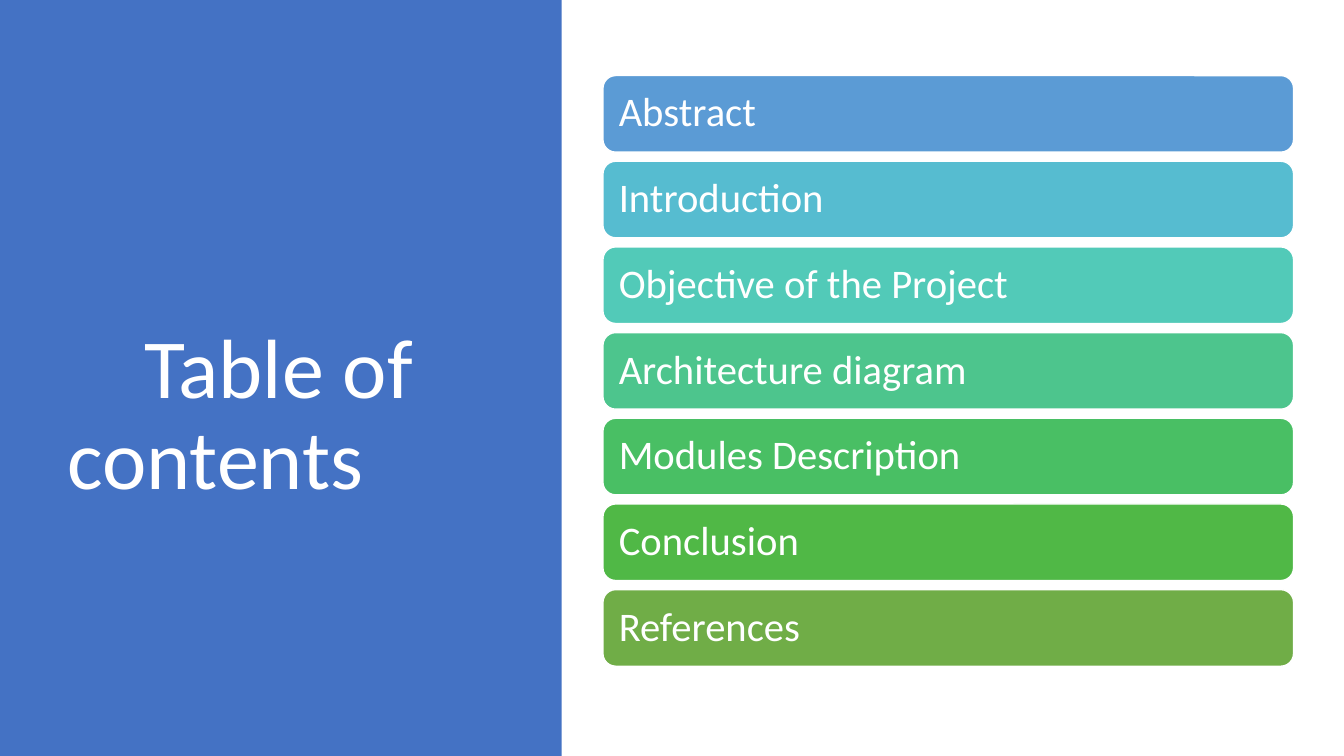
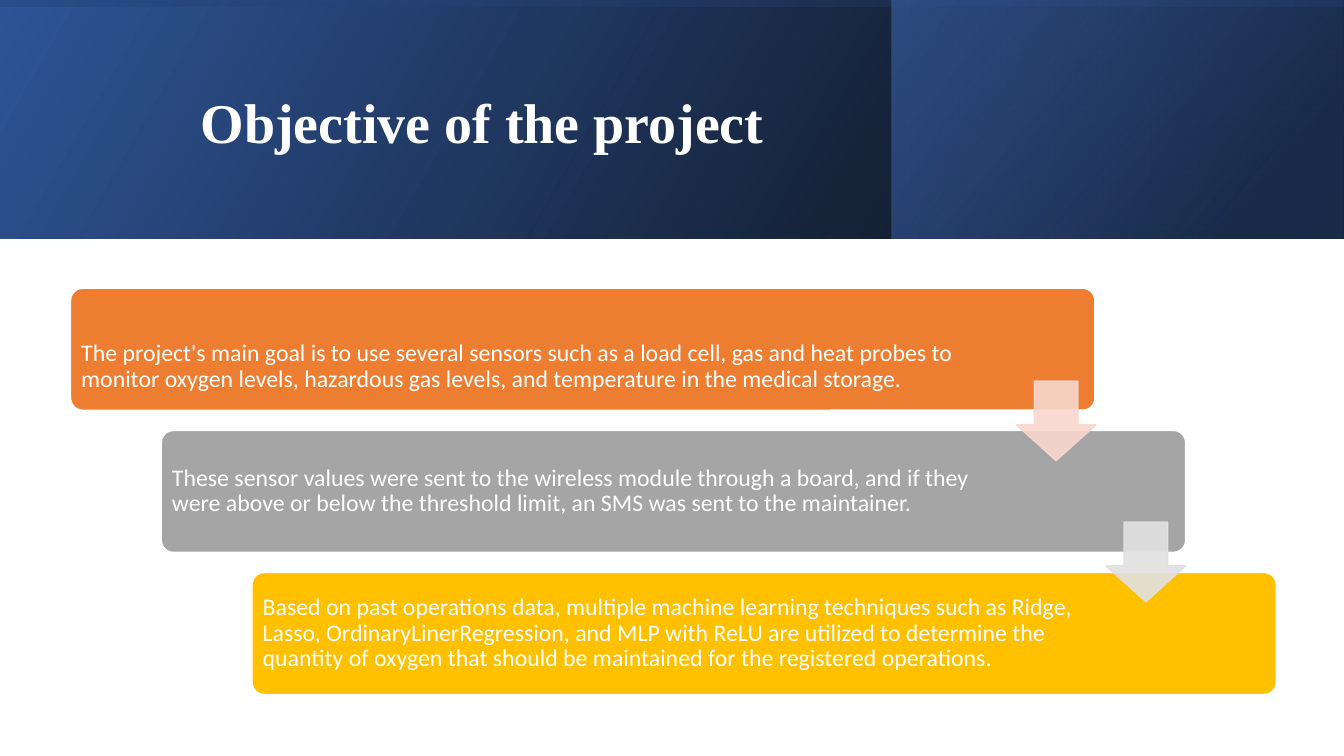
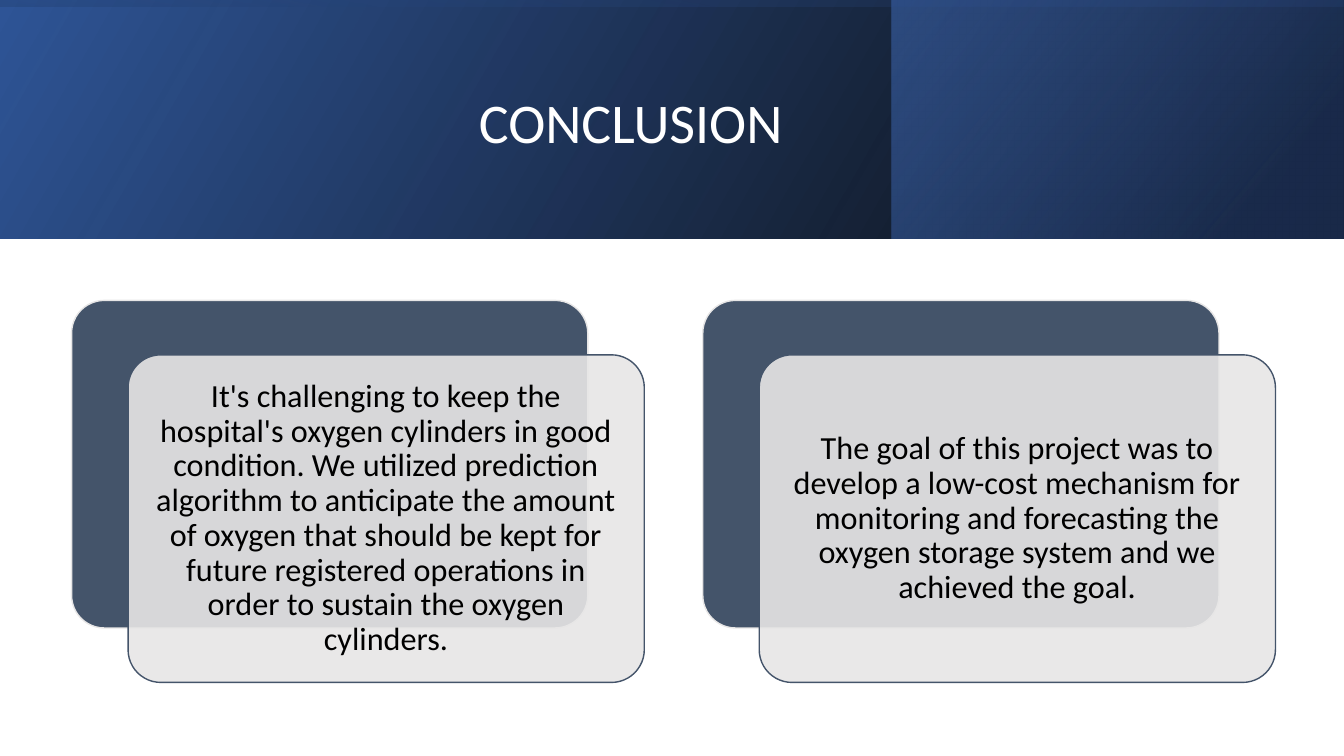
"""Build three slides: table of contents, project objective and conclusion."""
from dataclasses import dataclass

from lxml.etree import SubElement
from pptx import Presentation
from pptx.dml.color import RGBColor
from pptx.enum.shapes import MSO_SHAPE
from pptx.enum.text import MSO_ANCHOR, MSO_AUTO_SIZE, PP_ALIGN
from pptx.oxml import parse_xml
from pptx.oxml.ns import nsdecls, qn
from pptx.util import Inches, Pt


@dataclass(frozen=True)
class Theme:
    font: str = "Calibri"
    serif: str = "Times New Roman"
    white: str = "FFFFFF"
    black: str = "000000"
    blue: str = "4472C4"
    deep_blue: str = "2F5597"
    navy: str = "203864"
    slate: str = "44546A"
    pale: str = "E7E6E6"
    contents_fills: tuple = ("5B9BD5", "56BCD0", "52CAB8", "4DC58D", "49BF64", "50B846", "70AD47")
    step_fills: tuple = ("ED7D31", "A5A5A5", "FFC000")
    arrow_fills: tuple = ("F8D7CE", "E1E1E1")
    cover_size: int = 60
    title_size: int = 40
    contents_size: int = 29
    panel_size: int = 23
    step_size: int = 17


theme = Theme()


def add_text(shape, text, size, color=theme.white, font=theme.font, bold=False,
             align=PP_ALIGN.LEFT, margins=(0.1, 0.05, 0.1, 0.05), indent=0):
    frame = shape.text_frame
    frame.word_wrap = True
    frame.auto_size = MSO_AUTO_SIZE.NONE
    frame.vertical_anchor = MSO_ANCHOR.MIDDLE
    frame.margin_left, frame.margin_top, frame.margin_right, frame.margin_bottom = map(Inches, margins)
    paragraph = frame.paragraphs[0]
    paragraph.text = text
    paragraph.alignment = align
    paragraph.line_spacing = 0.9
    paragraph.space_before = Pt(0)
    if indent:
        properties = paragraph._p.get_or_add_pPr()
        properties.set("marL", "0")
        properties.set("indent", str(Inches(indent)))
    paragraph.font.name = font
    paragraph.font.size = Pt(size)
    paragraph.font.bold = bold
    paragraph.font.color.rgb = RGBColor.from_string(color)


def add_box(slide, kind, left, top, width, height, fill, line=None,
            fill_opacity=100, line_opacity=100, adjustments=()):
    shape = slide.shapes.add_shape(kind, Inches(left), Inches(top), Inches(width), Inches(height))
    shape.shadow.inherit = False
    for index, value in enumerate(adjustments):
        shape.adjustments[index] = value
    shape.line.fill.background()
    if line:
        shape.line.width = Pt(1)
    for target, color, opacity in ((shape.fill, fill, fill_opacity), (shape.line.fill, line, line_opacity)):
        if color:
            target.solid()
            target.fore_color.rgb = RGBColor.from_string(color)
            if opacity < 100:
                color_element = target._xPr.find(qn("a:solidFill"))[0]
                SubElement(color_element, qn("a:alpha")).set("val", str(opacity * 1000))
    return shape


presentation = Presentation()
presentation.slide_width = Inches(13.33)
presentation.slide_height = Inches(7.5)
contents_slide, objective_slide, conclusion_slide = [
    presentation.slides.add_slide(presentation.slide_layouts[5]) for _ in range(3)]

add_box(contents_slide, MSO_SHAPE.RECTANGLE, 0, 0, 5.57, 7.5, theme.blue)

bands = [
    (0, 0, 13.33, 2.37, 0, 330, [(0, theme.black, 96), (100, theme.deep_blue, 100)]),
    (8.84, 0, 4.48, 2.37, 0, 320, [(19, theme.navy, 68), (100, theme.blue, 48)]),
    (5.48, -5.48, 2.37, 13.33, 270, 350, [(23, theme.deep_blue, 16), (99, theme.black, 45)]),
]
for slide in (objective_slide, conclusion_slide):
    for left, top, width, height, rotation, angle, stops in bands:
        band = add_box(slide, MSO_SHAPE.RECTANGLE, left, top, width, height, theme.navy)
        band.rotation = rotation
        properties = band._element.spPr
        properties.find(qn("a:xfrm")).set("flipH", "1")
        stop_xml = "".join(
            f'<a:gs pos="{position * 1000}"><a:srgbClr val="{color}">'
            f'<a:alpha val="{opacity * 1000}"/></a:srgbClr></a:gs>'
            for position, color, opacity in stops)
        gradient = parse_xml(
            f'<a:gradFill {nsdecls("a")} rotWithShape="1"><a:gsLst>{stop_xml}</a:gsLst>'
            f'<a:lin ang="{angle * 60000}" scaled="0"/></a:gradFill>')
        properties.replace(properties.find(qn("a:solidFill")), gradient)

header_place = (1.51, 0.38, 10.63, 1.72)
titles = [
    (contents_slide, "Table of contents", (0.57, 0.68, 4.16, 6.02),
     dict(size=theme.cover_size, indent=0.76, margins=(0.1, 0.94, 0.1, 0.05))),
    (objective_slide, "Objective of the project", header_place,
     dict(size=theme.title_size, font=theme.serif, bold=True, indent=0.38)),
    (conclusion_slide, "CONCLUSION", header_place,
     dict(size=theme.title_size, indent=3.14)),
]
for slide, text, place, text_format in titles:
    title = slide.shapes.title
    title.left, title.top, title.width, title.height = map(Inches, place)
    add_text(title, text, **text_format)
    slide.shapes._spTree.append(title._element)

contents = ["Abstract", "Introduction", "Objective of the Project", "Architecture diagram",
            "Modules Description", "Conclusion", "References"]
for index, (entry, fill) in enumerate(zip(contents, theme.contents_fills)):
    bar = add_box(contents_slide, MSO_SHAPE.ROUNDED_RECTANGLE, 5.98, 0.75 + 0.85 * index, 6.85, 0.76,
                  fill, theme.white)
    add_text(bar, entry, theme.contents_size, margins=(0.12, 0.1, 0.12, 0.1))

steps = [
    ("The project's main goal is to use several sensors such as a load cell, gas and heat probes to monitor "
     "oxygen levels, hazardous gas levels, and temperature in the medical storage.", 0.45, 1.26),
    ("These sensor values were sent to the wireless module through a board, and if they were above or below "
     "the threshold limit, an SMS was sent to the maintainer.", 0.1, 1.79),
    ("Based on past operations data, multiple machine learning techniques such as Ridge, Lasso, "
     "OrdinaryLinerRegression, and MLP with ReLU are utilized to determine the quantity of oxygen that "
     "should be maintained for the registered operations.", 0.1, 1.79),
]
for index, (text, top_margin, right_margin) in enumerate(steps):
    step = add_box(objective_slide, MSO_SHAPE.ROUNDED_RECTANGLE, 0.7 + 0.9 * index, 2.86 + 1.41 * index,
                   10.16, 1.21, theme.step_fills[index], theme.white, adjustments=[0.1])
    add_text(step, text, theme.step_size, margins=(0.07, top_margin, right_margin, 0.1))

for index, fill in enumerate(theme.arrow_fills):
    add_box(objective_slide, MSO_SHAPE.DOWN_ARROW, 10.08 + 0.89 * index, 3.78 + 1.4 * index, 0.79, 0.79,
            fill, fill, fill_opacity=90, line_opacity=90, adjustments=[0.55, 0.45])

conclusions = [
    "It's challenging to keep the hospital's oxygen cylinders in good condition. We utilized prediction "
    "algorithm to anticipate the amount of oxygen that should be kept for future registered operations in "
    "order to sustain the oxygen cylinders.",
    "The goal of this project was to develop a low-cost mechanism for monitoring and forecasting the oxygen "
    "storage system and we achieved the goal.",
]
for index, text in enumerate(conclusions):
    left = 0.71 + 6.26 * index
    add_box(conclusion_slide, MSO_SHAPE.ROUNDED_RECTANGLE, left, 2.98, 5.12, 3.25,
            theme.slate, theme.pale, adjustments=[0.1])
    panel = add_box(conclusion_slide, MSO_SHAPE.ROUNDED_RECTANGLE, left + 0.56, 3.52, 5.12, 3.25,
                    theme.pale, theme.slate, fill_opacity=90, adjustments=[0.1])
    add_text(panel, text, theme.panel_size, theme.black, align=PP_ALIGN.CENTER,
             margins=(0.1, 0.1, 0.1, 0.1))

presentation.save("out.pptx")
